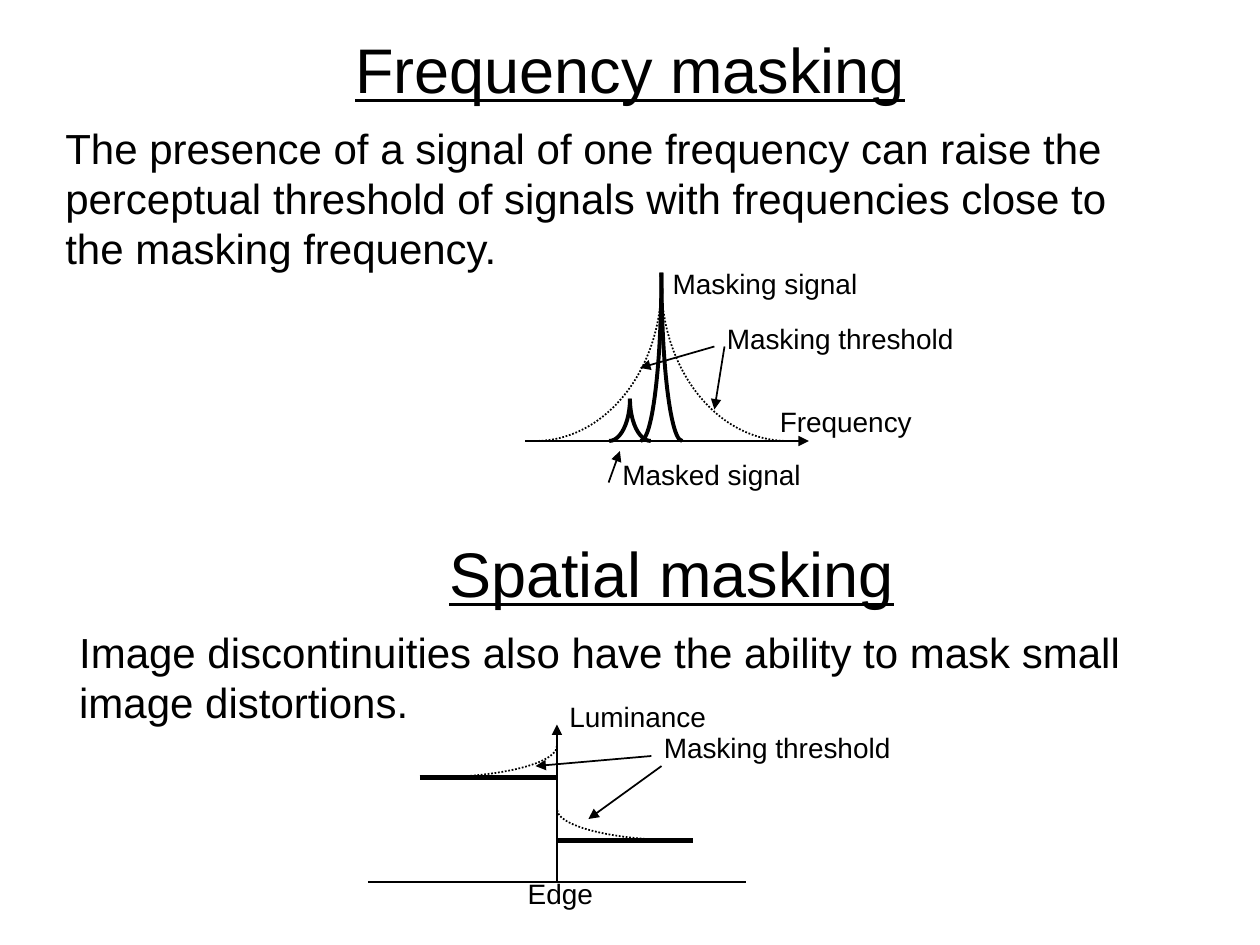
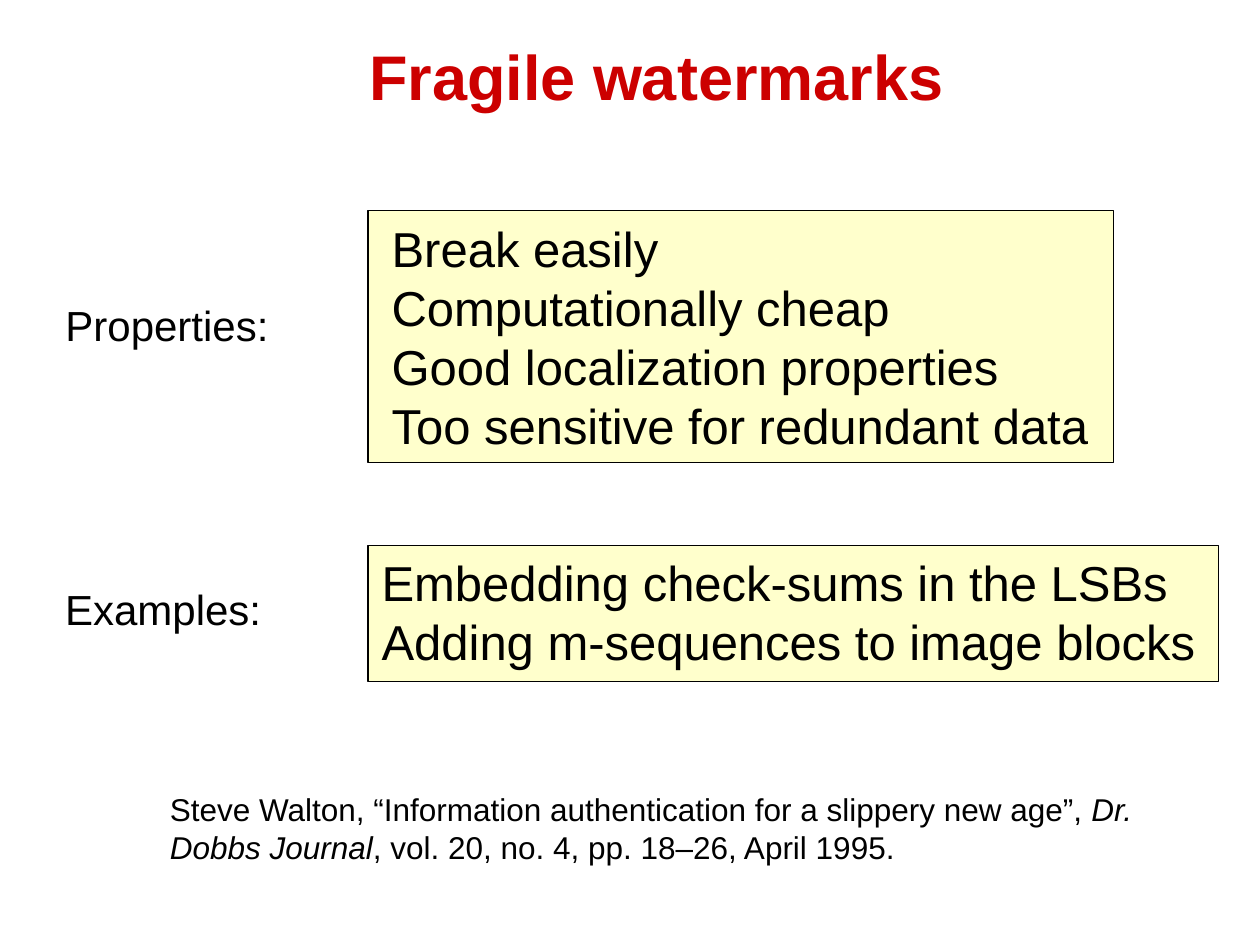
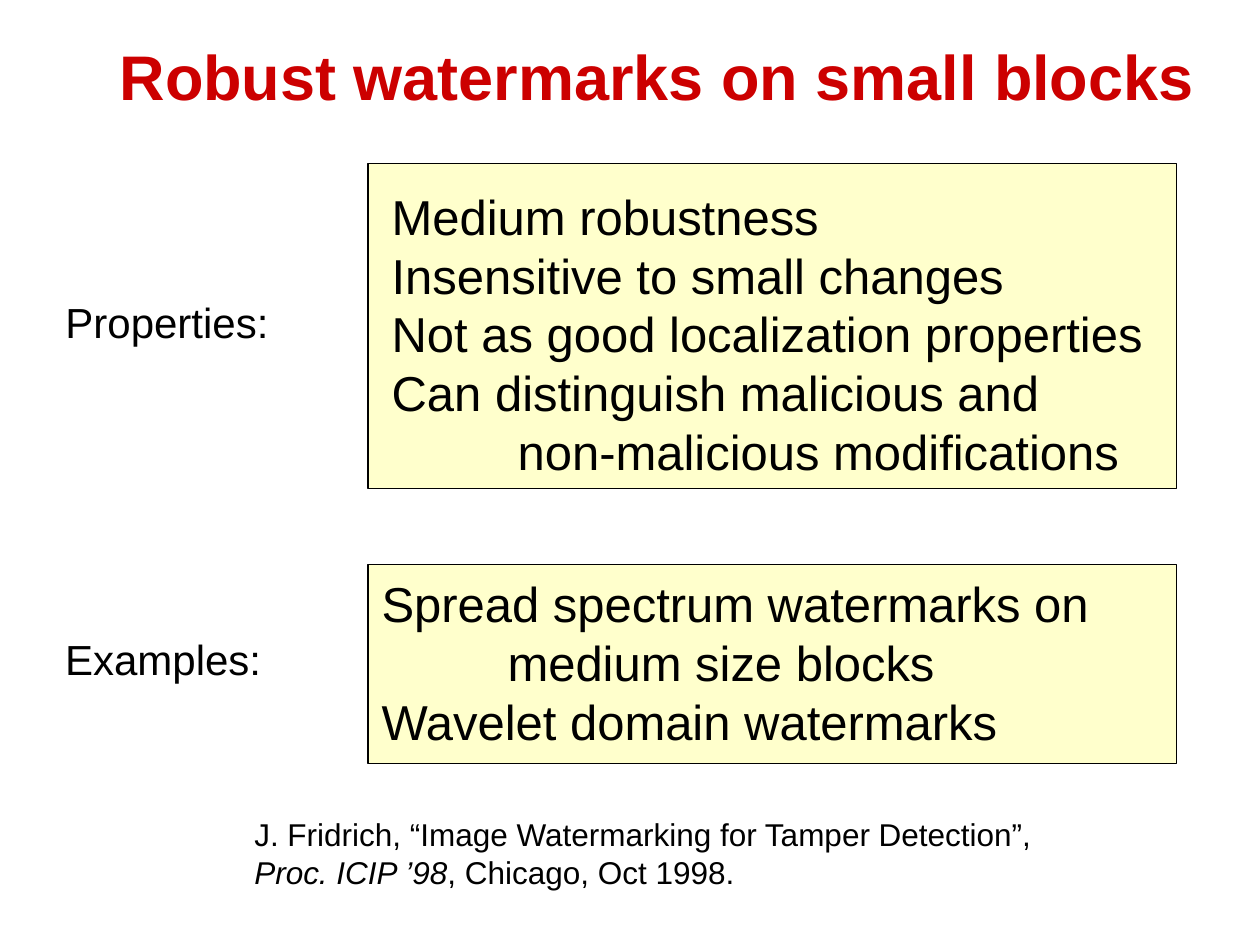
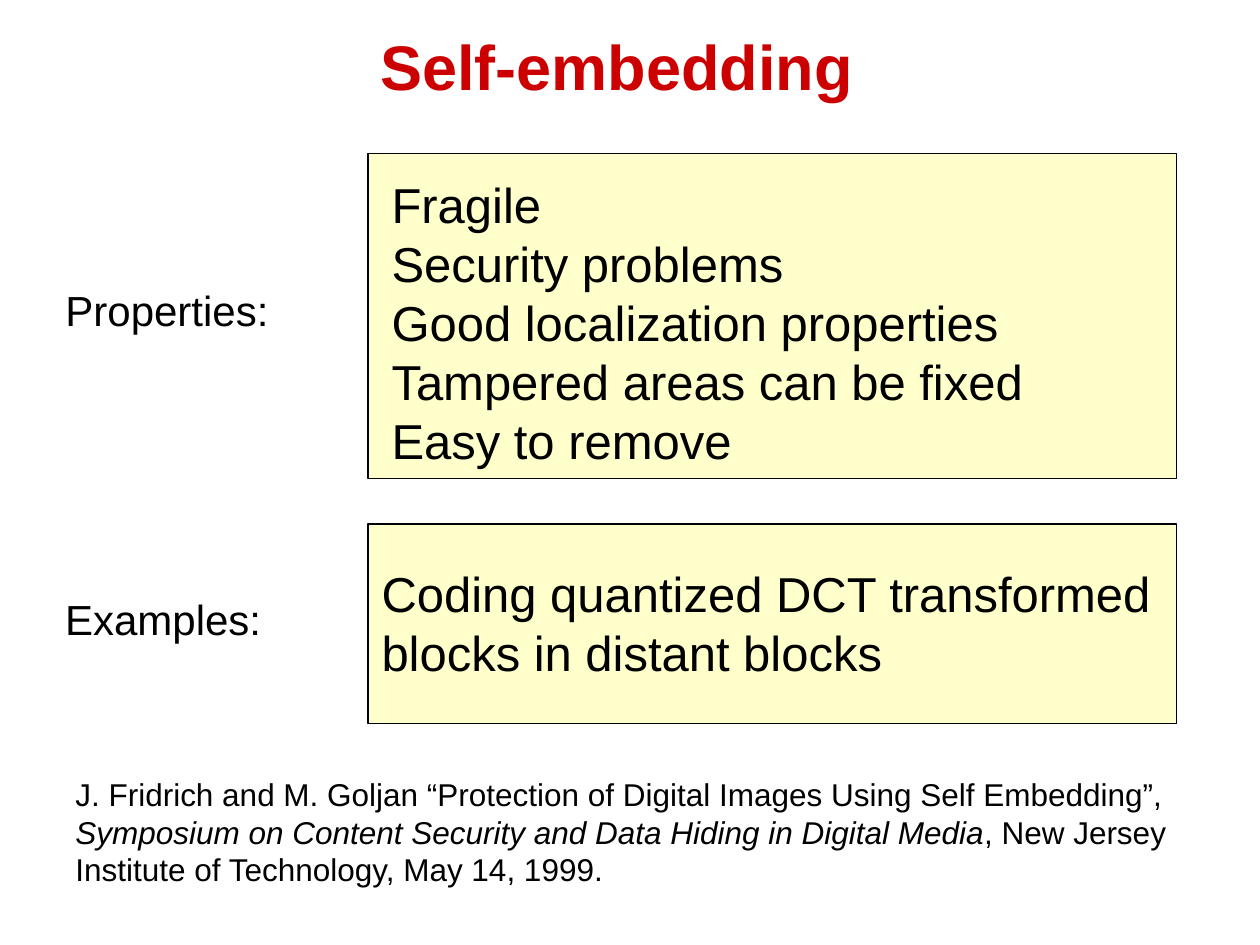
from pptx import Presentation
from pptx import util as u
from pptx.dml import color as colors
from pptx.enum import dml, shapes, text
from pptx.oxml import ns, xmlchemy

PX = 9144
FONT = "Arial"
BLACK = "000000"
RED = "CC0000"
CREAM = "FFFFCC"
LEFT_LABEL = 40
PANEL_LEFT = 292
TAB = 100


def px(value):
    return u.Emu(value * PX)


def rgb(value):
    return colors.RGBColor.from_string(value)


def write_text(frame, paragraphs, size=16, color=BLACK, bold=False, underline=False,
               align="LEFT", anchor="TOP", wrap=False, grow=True, indented=()):
    frame.word_wrap = wrap
    frame.auto_size = text.MSO_AUTO_SIZE.SHAPE_TO_FIT_TEXT if grow else text.MSO_AUTO_SIZE.NONE
    frame.vertical_anchor = getattr(text.MSO_ANCHOR, anchor)
    for index, pieces in enumerate(paragraphs):
        paragraph = frame.add_paragraph() if index else frame.paragraphs[0]
        paragraph.alignment = getattr(text.PP_ALIGN, align)
        if index in indented:
            properties = paragraph._p.get_or_add_pPr()
            properties.set("marL", str(px(TAB)))
            properties.set("indent", "0")
        if isinstance(pieces, str):
            pieces = [(pieces, False)]
        for content, italic in pieces:
            run = paragraph.add_run()
            run.text = content
            font = run.font
            font.name, font.size = FONT, u.Pt(size)
            font.bold, font.italic, font.underline = bold, italic, underline
            font.color.rgb = rgb(color)


class Deck:
    def __init__(self):
        self.presentation = Presentation()
        self.presentation.slide_width = px(1000)
        self.presentation.slide_height = px(750)
        self.slide = None

    def new_slide(self, title, box, **style):
        layout = self.presentation.slide_layouts.get_by_name("Title Only")
        self.slide = self.presentation.slides.add_slide(layout)
        shape = self.slide.shapes.title
        shape.left, shape.top, shape.width, shape.height = map(px, box)
        write_text(shape.text_frame, [title], size=36, align="CENTER", anchor="MIDDLE", **style)

    def textbox(self, box, *paragraphs, **style):
        shape = self.slide.shapes.add_textbox(*map(px, box))
        write_text(shape.text_frame, paragraphs, **style)

    def outline(self, shape, weight, dash=None):
        shape.line.color.rgb = rgb(BLACK)
        shape.line.width = u.Pt(weight)
        if dash:
            shape.line.dash_style = dash

    def panel(self, top, width, height):
        shape = self.slide.shapes.add_shape(
            shapes.MSO_SHAPE.RECTANGLE, *map(px, (PANEL_LEFT, top, width, height)))
        shape.shadow.inherit = False
        shape.fill.solid()
        shape.fill.fore_color.rgb = rgb(CREAM)
        self.outline(shape, 0.75)

    def line(self, start, end, weight=1, arrow=False):
        connector = self.slide.shapes.add_connector(
            shapes.MSO_CONNECTOR.STRAIGHT, *map(px, start + end))
        self.outline(connector, weight)
        properties = connector.element.spPr
        if arrow:
            tail = xmlchemy.OxmlElement("a:tailEnd")
            tail.set("type", "triangle")
            properties.find(ns.qn("a:ln")).append(tail)
        properties.append(xmlchemy.OxmlElement("a:effectLst"))

    def slope(self, x, top, width, height, rising, weight=1, dotted=True):
        left = x - width if rising else x
        shape = self.slide.shapes.add_shape(
            shapes.MSO_SHAPE.ARC, *map(px, (left, top, width, height)))
        first = 0 if rising else 54
        shape.adjustments[0], shape.adjustments[1] = first, first + 54
        shape.shadow.inherit = False
        shape.fill.background()
        self.outline(shape, weight, dml.MSO_LINE.ROUND_DOT if dotted else None)

    def peak(self, x, top, width, height, **style):
        for rising in (True, False):
            self.slope(x, top, width, height, rising, **style)

    def group(self, label, label_box, panel, text_box, lines, indented=()):
        self.panel(*panel)
        left, top, width = text_box
        self.textbox((left, top, width, 47 * len(lines) + 10), *lines,
                     size=28, anchor="MIDDLE", indented=indented)
        self.textbox(label_box, label, size=24, align="CENTER", anchor="MIDDLE")

    def properties(self, label_top, panel, top, width, lines, indented=()):
        self.group("Properties:", (LEFT_LABEL, label_top, 185, 50), panel,
                   (301, top, width), lines, indented)

    def examples(self, label_top, panel, top, width, lines, indented=()):
        self.group("Examples:", (LEFT_LABEL, label_top, 179, 50), panel,
                   (293, top, width), lines, indented)

    def citation(self, box, *paragraphs, wrap=False):
        self.textbox(box, *paragraphs, size=18, anchor="MIDDLE", wrap=wrap)


def frequency_masking(deck):
    deck.new_slide("Frequency masking", (75, 17, 850, 75), underline=True, wrap=True, grow=False)
    deck.textbox((42, 92, 860, 130),
                 "The presence of a signal of one frequency can raise the",
                 "perceptual threshold of signals with frequencies close to",
                 "the masking frequency.", size=24)
    deck.peak(525, 83, 33, 267, weight=2.25, dotted=False)
    deck.line((417, 350), (642, 350), arrow=True)
    deck.peak(525, 100, 200, 250)
    deck.peak(500, 283, 33, 67, weight=2.25, dotted=False)
    deck.textbox((524, 207, 170, 37), "Masking signal")
    deck.textbox((609, 316, 128, 37), "Frequency")
    deck.textbox((484, 358, 165, 37), "Masked signal")
    deck.line((483, 383), (492, 358), arrow=True)
    deck.textbox((567, 250, 204, 37), "Masking threshold")
    deck.line((567, 275), (508, 292), arrow=True)
    deck.line((575, 275), (567, 325), arrow=True)


def spatial_masking(deck):
    edge = 442
    deck.textbox((108, 417, 850, 75), "Spatial masking", size=36, underline=True,
                 align="CENTER", anchor="MIDDLE", wrap=True, grow=False)
    deck.textbox((53, 492, 860, 90),
                 "Image discontinuities also have the ability to mask small",
                 "image distortions.", size=24)
    deck.line((333, 617), (edge, 617), weight=3)
    deck.line((edge, 667), (550, 667), weight=3)
    deck.line((edge, 700), (edge, 575), arrow=True)
    deck.line((292, 700), (592, 700))
    deck.textbox((edge, 550, 132, 37), "Luminance")
    deck.textbox((409, 691, 76, 37), "Edge")
    deck.slope(edge, 567, 200, 50, rising=True)
    deck.slope(edge, 617, 200, 50, rising=False)
    deck.textbox((517, 575, 204, 37), "Masking threshold")
    deck.line((525, 608), (467, 650), arrow=True)
    deck.line((517, 600), (425, 608), arrow=True)


def fragile_watermarks(deck):
    deck.new_slide("Fragile watermarks", (281, 25, 480, 70), color=RED, bold=True)
    deck.properties(233, (167, 592, 200), 168, 582, [
        "Break easily",
        "Computationally cheap",
        "Good localization properties",
        "Too sensitive for redundant data"])
    deck.examples(458, (433, 675, 108), 433, 672, [
        "Embedding check-sums in the LSBs",
        "Adding m-sequences to image blocks"])
    deck.citation((125, 622, 833, 70), [
        ("Steve Walton, “Information authentication for a slippery new age”, ", False),
        ("Dr. Dobbs Journal", True),
        (", vol. 20, no. 4, pp. 18–26, April 1995.", False)], wrap=True)


def robust_watermarks(deck):
    deck.new_slide("Robust watermarks on small blocks", (81, 25, 881, 70), color=RED, bold=True)
    deck.properties(230, (130, 642, 258), 142, 622, [
        "Medium robustness",
        "Insensitive to small changes",
        "Not as good localization properties",
        "Can distinguish malicious and",
        "non-malicious modifications"], indented=(4,))
    deck.examples(498, (448, 642, 158), 450, 587, [
        "Spread spectrum watermarks on",
        "medium size blocks",
        "Wavelet domain watermarks"], indented=(1,))
    deck.citation((192, 642, 646, 70),
                  "J. Fridrich, “Image Watermarking for Tamper Detection”,",
                  [("Proc. ICIP ’98", True), (", Chicago, Oct 1998.", False)])


def self_embedding(deck):
    deck.new_slide("Self-embedding", (289, 17, 401, 70), color=RED, bold=True)
    deck.properties(221, (122, 642, 258), 133, 530, [
        "Fragile",
        "Security problems",
        "Good localization properties",
        "Tampered areas can be fixed",
        "Easy to remove"])
    deck.examples(466, (416, 642, 158), 442, 637, [
        "Coding quantized DCT transformed",
        "blocks in distant blocks"])
    deck.citation((50, 610, 898, 100),
                  "J. Fridrich and M. Goljan “Protection of Digital Images Using Self Embedding”,",
                  [("Symposium on Content Security and Data Hiding in Digital Media", True),
                   (", New Jersey", False)],
                  "Institute of Technology, May 14, 1999.")


def main():
    deck = Deck()
    frequency_masking(deck)
    spatial_masking(deck)
    fragile_watermarks(deck)
    robust_watermarks(deck)
    self_embedding(deck)
    deck.presentation.save("out.pptx")


if __name__ == "__main__":
    main()
